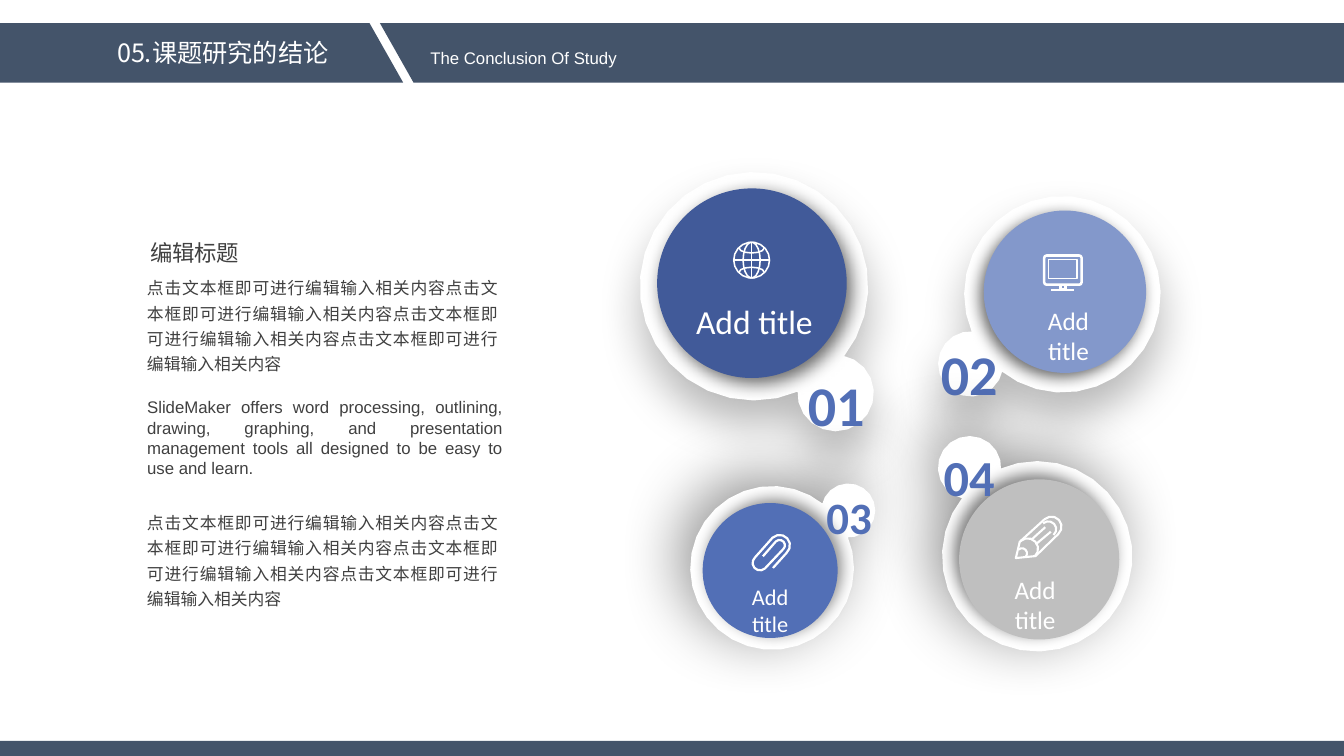
from math import acos, atan2, ceil, cos, degrees, dist, radians, sin

from lxml.etree import SubElement
from pptx import Presentation
from pptx.dml.color import RGBColor
from pptx.enum.shapes import MSO_SHAPE
from pptx.enum.text import MSO_AUTO_SIZE, PP_ALIGN
from pptx.oxml.ns import qn
from pptx.util import Pt

SLATE = RGBColor(0x44, 0x54, 0x6A)
WHITE = RGBColor(0xFF, 0xFF, 0xFF)
NAVY = RGBColor(0x41, 0x5A, 0x99)
LIGHT_BLUE = RGBColor(0x83, 0x98, 0xCB)
BLUE = RGBColor(0x52, 0x6F, 0xB6)
GREY = RGBColor(0xBF, 0xBF, 0xBF)
DARK_GREY = RGBColor(0x40, 0x40, 0x40)
CJK = "Noto Sans CJK SC"


def add_text(text, left, top, width, height, *, size, color, font="Calibri",
             align=PP_ALIGN.CENTER, bold=False, spacing=None, inset=True):
    box = slide.shapes.add_textbox(Pt(left), Pt(top), Pt(width), Pt(height))
    frame = box.text_frame
    frame.word_wrap = True
    frame.auto_size = MSO_AUTO_SIZE.SHAPE_TO_FIT_TEXT
    if not inset:
        frame.margin_left = frame.margin_right = 0
        frame.margin_top = frame.margin_bottom = 0
    paragraph = frame.paragraphs[0]
    paragraph.alignment = align
    if spacing:
        paragraph.line_spacing = spacing
    run = paragraph.add_run()
    run.text = text
    run.font.size = Pt(size)
    run.font.bold = bold
    run.font.color.rgb = color
    run.font.name = font
    SubElement(run.font._element, qn("a:ea")).set("typeface", font)


def arc(x, y, radius_x, radius_y, start, end, step=30):
    """Return points along an elliptical arc; angles in degrees, clockwise from the right."""
    count = ceil((end - start) / step)
    angles = [radians(start + (end - start) * i / count) for i in range(count + 1)]
    return [(x + radius_x * cos(a), y + radius_y * sin(a)) for a in angles]


presentation = Presentation()
presentation.slide_width = Pt(960)
presentation.slide_height = Pt(540)
slide = presentation.slides.add_slide(presentation.slide_layouts[6])

# Header and footer bars
for kind, left, top, width, height in (
    (MSO_SHAPE.PARALLELOGRAM, -36, 16.6, 324, 42.4),
    (MSO_SHAPE.PARALLELOGRAM, 271.4, 16.6, 725.8, 42.4),
    (MSO_SHAPE.RECTANGLE, 0, 529.2, 960, 10.8),
):
    bar = slide.shapes.add_shape(kind, Pt(left), Pt(top), Pt(width), Pt(height))
    bar.shadow.inherit = False
    bar.fill.solid()
    bar.fill.fore_color.rgb = SLATE
    bar.line.fill.background()
    if kind == MSO_SHAPE.PARALLELOGRAM:
        bar.adjustments[0] = 0.566
        bar.element.spPr.find(qn("a:xfrm")).set("flipV", "1")

add_text("05.课题研究的结论", -36, 23, 390.2, 28.8, size=18, color=WHITE, font=CJK)
add_text("The Conclusion Of Study", 176.4, 30.5, 395.3, 21.6, size=12, color=WHITE, font="Arial")

# Each plate, badge and disc: centre x, centre y, radius
# Each shadow: opacity in percent, blur, distance, direction in degrees
topics = [
    dict(plate=(538.6, 204.5, 80.6), badge=(596.9, 280.8, 26.3), disc=(537.1, 202.3, 67.7),
         color=NAVY, plate_shadow=(28, 32, 17, 90), disc_shadow=(60, 13, 5, 45),
         number=("01", 568.1, 247, 58.3, 61.2, 40), label=(458.6, 211.7, 160.6, 61.2, 24)),
    dict(plate=(758.9, 210.2, 69.2), badge=(693.4, 259.9, 22.3), disc=(760.7, 208.4, 58),
         color=LIGHT_BLUE, plate_shadow=(28, 32, 17, 90), disc_shadow=(58, 11, 4, 135),
         number=("02", 663.1, 224.6, 58.3, 61.2, 40), label=(726.5, 214.6, 73.4, 27.4, 18)),
    dict(plate=(740.9, 397.4, 67), badge=(692.6, 334.1, 21.6), disc=(742.3, 399.6, 57.2),
         color=GREY, plate_shadow=(41, 45, 12, 225), disc_shadow=(49, 11, 5, 225),
         number=("04", 663.1, 302.4, 58.3, 56.2, 36), label=(702.7, 406.8, 73.4, 27.4, 18)),
    dict(plate=(551.5, 405.7, 57.5), badge=(605.9, 364.7, 18.3), disc=(550.1, 407.5, 48.2),
         color=BLUE, plate_shadow=(41, 45, 12, 225), disc_shadow=(46, 11, 4, 315),
         number=("03", 577.4, 334.8, 58.3, 50.4, 32), label=(517, 413.3, 66.2, 25.2, 16)),
]
for topic in topics:
    # Outline of the plate joined with its badge, through their crossing points
    x, y, radius = topic["plate"]
    badge_x, badge_y, badge_radius = topic["badge"]
    gap = dist((x, y), (badge_x, badge_y))
    heading = degrees(atan2(badge_y - y, badge_x - x))
    plate_half = degrees(acos((gap**2 + radius**2 - badge_radius**2) / (2 * gap * radius)))
    badge_half = degrees(acos((gap**2 + badge_radius**2 - radius**2) / (2 * gap * badge_radius)))
    outline = arc(x, y, radius, radius, heading + plate_half, heading + 360 - plate_half, 12)
    outline += arc(badge_x, badge_y, badge_radius, badge_radius,
                   heading + 180 + badge_half, heading + 540 - badge_half, 20)
    points = [(Pt(px), Pt(py)) for px, py in outline]
    builder = slide.shapes.build_freeform(*points[0])
    builder.add_line_segments(points[1:], close=True)
    plate = builder.convert_to_shape()

    x, y, radius = topic["disc"]
    disc = slide.shapes.add_shape(MSO_SHAPE.OVAL, Pt(x - radius), Pt(y - radius),
                                  Pt(2 * radius), Pt(2 * radius))
    for shape, color, shadow in ((plate, WHITE, topic["plate_shadow"]),
                                 (disc, topic["color"], topic["disc_shadow"])):
        shape.fill.solid()
        shape.fill.fore_color.rgb = color
        shape.line.fill.background()
        shape.shadow.inherit = False
        opacity, blur, distance, direction = shadow
        outer = SubElement(shape.element.spPr.find(qn("a:effectLst")), qn("a:outerShdw"),
                           blurRad=str(Pt(blur)), dist=str(Pt(distance)),
                           dir=str(direction * 60000), algn="ctr", rotWithShape="0")
        shade = SubElement(outer, qn("a:srgbClr"), val="000000")
        SubElement(shade, qn("a:alpha"), val=str(opacity * 1000))
    plate.line.color.rgb = WHITE
    plate.line.width = Pt(2)

    *number_place, size = topic["number"]
    add_text(*number_place, size=size, color=BLUE, bold=True, spacing=1.3)
    *label_place, size = topic["label"]
    add_text("Add title", *label_place, size=size, color=WHITE)

# Icons: line width and strokes
globe = [
    arc(536.9, 185.8, 12.8, 12.8, 0, 360, 20),
    arc(536.9, 185.8, 6.1, 12.8, 0, 360, 20),
    [(536.9, 173), (536.9, 198.6)],
    [(524.1, 185.8), (549.7, 185.8)],
    arc(536.9, 177.3, 8.9, 3.4, 0, 180),
    arc(536.9, 194.3, 8.9, 3.4, 180, 360),
]
monitor = [
    arc(770.9, 201.7, 1.7, 1.7, 0, 90, 45) + arc(747.6, 201.7, 1.7, 1.7, 90, 180, 45)
    + arc(747.6, 184.2, 1.7, 1.7, 180, 270, 45) + arc(770.9, 184.2, 1.7, 1.7, 270, 360, 45)
    + [(772.6, 201.7)],
    [(757.5, 204), (757.5, 206.5), (761, 206.5), (761, 204)],
    [(751, 207.2), (767.5, 207.2)],
]
screen = [[(749.2, 185.4), (769.3, 185.4), (769.3, 198.7), (749.2, 198.7), (749.2, 185.4)]]
pencil = [
    [(725.6, 398.6), (728.4, 387)] + arc(751, 376.2, 7.2, 7.2, -132, 48)
    + [(739.7, 397.2), (725.6, 398.6)],
    arc(734, 392, 7.5, 7.5, -132, 48),
    arc(748.8, 378, 5.6, 5.6, -132, 48),
    arc(730, 395.2, 3.6, 3.6, -132, 48),
    [(736.6, 385.6), (746.6, 376.6)],
    [(739.8, 388.8), (750.6, 379.8)],
]
paperclip = [
    [(545, 397.4)] + arc(556.9, 389.5, 3.8, 3.8, -132, 48)
    + arc(542.9, 402.1, 5.3, 5.3, 48, 228) + arc(556.9, 389.5, 7.4, 7.4, -132, 48)
    + [(552.2, 405.7)],
]
for width, strokes in ((1.1, globe), (1.8, monitor), (0.75, screen),
                       (1.5, pencil), (1.6, paperclip)):
    contours = [[(Pt(x), Pt(y)) for x, y in stroke] for stroke in strokes]
    builder = slide.shapes.build_freeform(*contours[0][0])
    builder.add_line_segments(contours[0][1:], close=False)
    for contour in contours[1:]:
        builder.move_to(*contour[0])
        builder.add_line_segments(contour[1:], close=False)
    icon = builder.convert_to_shape()
    icon.shadow.inherit = False
    icon.fill.background()
    icon.line.color.rgb = WHITE
    icon.line.width = Pt(width)

# Text column
for top in (191.5, 359.3):
    add_text("点击文本框即可进行编辑输入相关内容" * 4, 97.9, top, 265, 79.9, size=12,
             color=DARK_GREY, font=CJK, align=PP_ALIGN.JUSTIFY, spacing=1.25)
add_text("编辑标题", 100.1, 167, 107.3, 26.6, size=16, color=DARK_GREY, font=CJK,
         align=PP_ALIGN.LEFT)
add_text("SlideMaker offers word processing, outlining, drawing, graphing, and presentation "
         "management tools all designed to be easy to use and learn.",
         105.1, 283.7, 254.2, 58.3, size=12, color=DARK_GREY, font="Arial",
         align=PP_ALIGN.JUSTIFY, inset=False)

presentation.save("out.pptx")
